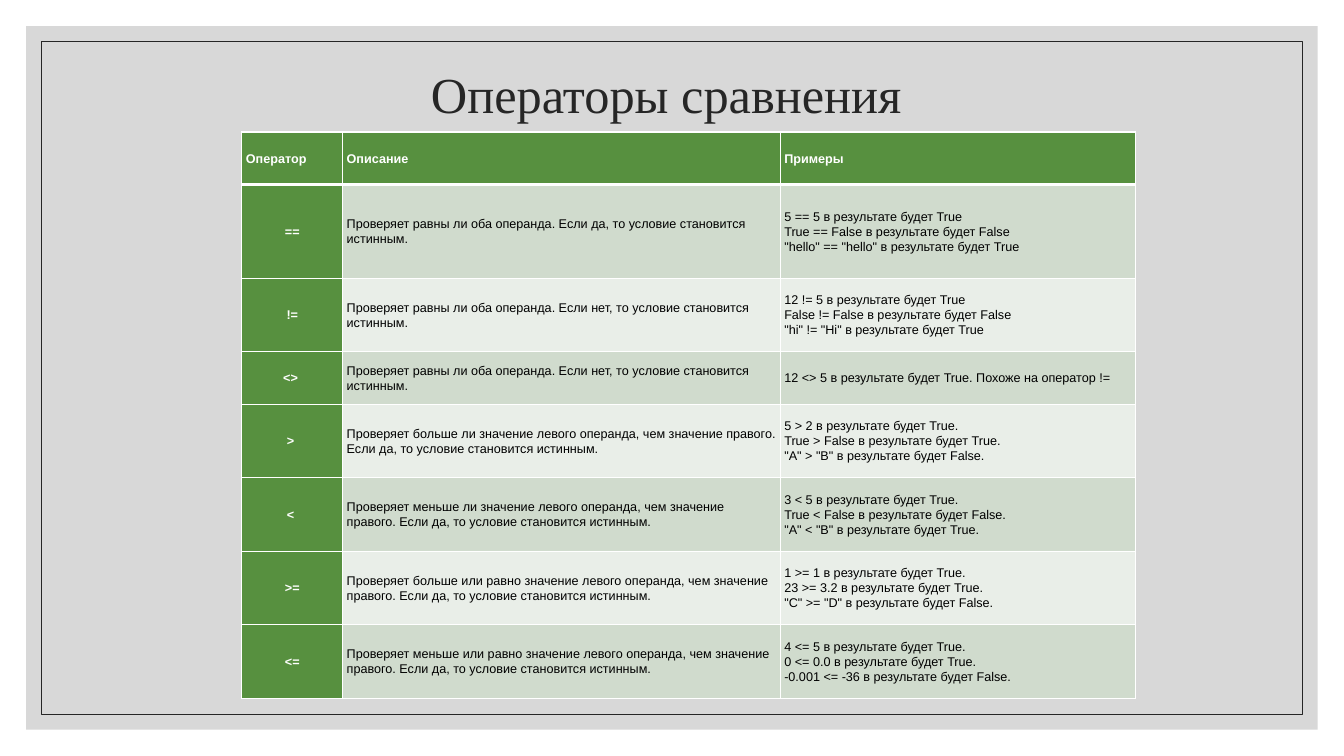
from lxml import etree
from pptx import Presentation
from pptx.dml.color import RGBColor
from pptx.enum.shapes import MSO_SHAPE
from pptx.enum.text import MSO_ANCHOR, PP_ALIGN
from pptx.oxml.ns import qn
from pptx.util import Inches, Pt

RECT = MSO_SHAPE.RECTANGLE
MIDDLE = MSO_ANCHOR.MIDDLE
LEFT, CENTER = PP_ALIGN.LEFT, PP_ALIGN.CENTER

WHITE = RGBColor(0xFF, 0xFF, 0xFF)
BLACK = RGBColor(0x00, 0x00, 0x00)
INK = RGBColor(0x26, 0x26, 0x26)
GRAY = RGBColor(0xBF, 0xBF, 0xBF)
GREEN = RGBColor(0x57, 0x90, 0x3F)
BANDS = (RGBColor(0xE9, 0xEE, 0xE8), RGBColor(0xD0, 0xDB, 0xCD))

# Lengths are percentages of the slide's width or height
COLUMNS = (7.5, 32.56, 26.41)
ROWS = (6.93, 12.4, 9.73, 6.93) + (9.73,) * 4

OPERATORS = [
    ("Оператор", "Описание", "Примеры"),
    ("==",
     "Проверяет равны ли оба операнда. Если да, то условие становится истинным.",
     "5 == 5 в результате будет True\n"
     "True == False в результате будет False\n"
     '"hello" == "hello" в результате будет True'),
    ("!=",
     "Проверяет равны ли оба операнда. Если нет, то условие становится истинным.",
     "12 != 5 в результате будет True\n"
     "False != False в результате будет False\n"
     '"hi" != "Hi" в результате будет True'),
    ("<> ",
     "Проверяет равны ли оба операнда. Если нет, то условие становится истинным.",
     "12 <> 5 в результате будет True. Похоже на оператор !="),
    ("> ",
     "Проверяет больше ли значение левого операнда, чем значение правого. "
     "Если да, то условие становится истинным.",
     "5 > 2 в результате будет True.\n"
     "True > False в результате будет True.\n"
     '"A" > "B" в результате будет False.'),
    ("< ",
     "Проверяет меньше ли значение левого операнда, чем значение правого. "
     "Если да, то условие становится истинным.",
     "3 < 5 в результате будет True.\n"
     "True < False в результате будет False.\n"
     '"A" < "B" в результате будет True.'),
    (">=",
     "Проверяет больше или равно значение левого операнда, чем значение правого. "
     "Если да, то условие становится истинным.",
     "1 >= 1 в результате будет True.\n"
     "23 >= 3.2 в результате будет True.\n"
     '"C" >= "D" в результате будет False.'),
    ("<=",
     "Проверяет меньше или равно значение левого операнда, чем значение правого. "
     "Если да, то условие становится истинным.",
     "4 <= 5 в результате будет True.\n"
     "0 <= 0.0 в результате будет True.\n"
     "-0.001 <= -36 в результате будет False."),
]


class Deck:
    """Holds the style and the current slide."""
    title_font, body_font = "Times New Roman", "Arial"
    title_size, body_size = Pt(36), Pt(9)
    cell_inset = Inches(0.04)

    def __init__(self):
        self.prs = Presentation()
        self.prs.slide_width, self.prs.slide_height = Inches(13.33), Inches(7.5)
        self.slide = self.prs.slides.add_slide(self.prs.slide_layouts[5])

    def x(self, share):
        return round(self.prs.slide_width * share / 100)

    def y(self, share):
        return round(self.prs.slide_height * share / 100)

    def box(self, left, top, width, height):
        return self.x(left), self.y(top), self.x(width), self.y(height)

    def paragraph(self, p, text, font, size, color, bold, align, spacing):
        p.text = text
        p.alignment, p.line_spacing = align, spacing
        p.font.name, p.font.size, p.font.bold = font, size, bold
        p.font.color.rgb = color

    def panel(self, margin_x, margin_y):
        s = self.slide.shapes.add_shape(RECT, *self.box(
            margin_x, margin_y, 100 - 2 * margin_x, 100 - 2 * margin_y))
        s.shadow.inherit = False
        s.fill.background()
        s.line.fill.background()
        return s

    def tinted_panel(self, margin_x, margin_y, color, opacity):
        s = self.panel(margin_x, margin_y)
        s.fill.solid()
        s.fill.fore_color.rgb = color
        srgb = s._element.spPr.find(qn("a:solidFill"))[0]
        etree.SubElement(srgb, qn("a:alpha"), val=str(opacity * 1000))

    def outlined_panel(self, margin_x, margin_y, color, width):
        s = self.panel(margin_x, margin_y)
        s.line.color.rgb, s.line.width = color, width

    def title(self, text, *share):
        s = self.slide.shapes.title
        s.left, s.top, s.width, s.height = self.box(*share)
        # Bring the title in front of the panels
        self.slide.shapes._spTree.append(s._element)
        tf = s.text_frame
        tf.vertical_anchor, tf.word_wrap = MIDDLE, True
        self.paragraph(tf.paragraphs[0], text, self.title_font,
                       self.title_size, INK, False, CENTER, 0.9)

    def borders(self, cell, top, bottom):
        tc_pr = cell._tc.get_or_add_tcPr()
        for side, width in (("L", 1), ("R", 1), ("T", top), ("B", bottom)):
            ln = etree.SubElement(tc_pr, qn(f"a:ln{side}"), w=str(int(Pt(width))))
            fill = etree.SubElement(ln, qn("a:solidFill"))
            etree.SubElement(fill, qn("a:srgbClr"), val=str(WHITE))

    def cell(self, cell, text, row, col):
        strong = row == 0 or col == 0
        self.borders(cell, 3 if row == 1 else 1, 3 if row == 0 else 1)
        cell.fill.solid()
        cell.fill.fore_color.rgb = GREEN if strong else BANDS[row % 2]
        cell.vertical_anchor = MIDDLE
        cell.margin_left = cell.margin_right = self.cell_inset
        cell.margin_top = cell.margin_bottom = self.cell_inset
        self.paragraph(cell.text_frame.paragraphs[0], text, self.body_font,
                       self.body_size, WHITE if strong else BLACK, strong,
                       CENTER if row and col == 0 else LEFT, 1.07)

    def table(self, left, top, columns, rows, data):
        table = self.slide.shapes.add_table(
            len(rows), len(columns),
            *self.box(left, top, sum(columns), sum(rows))).table
        for column, width in zip(table.columns, columns):
            column.width = self.x(width)
        for row, height in zip(table.rows, rows):
            row.height = self.y(height)
        for r, texts in enumerate(data):
            for c, text in enumerate(texts):
                self.cell(table.cell(r, c), text, r, c)


def main():
    deck = Deck()
    # Backdrop
    deck.tinted_panel(1.95, 3.47, GRAY, 60)
    deck.outlined_panel(3.08, 5.47, INK, Pt(0.75))
    # Title
    deck.title("Операторы сравнения ", 8.78, 2.8, 82.52, 20)
    # Table of comparison operators
    deck.table(18, 17.47, COLUMNS, ROWS, OPERATORS)
    deck.prs.save("out.pptx")


if __name__ == "__main__":
    main()
